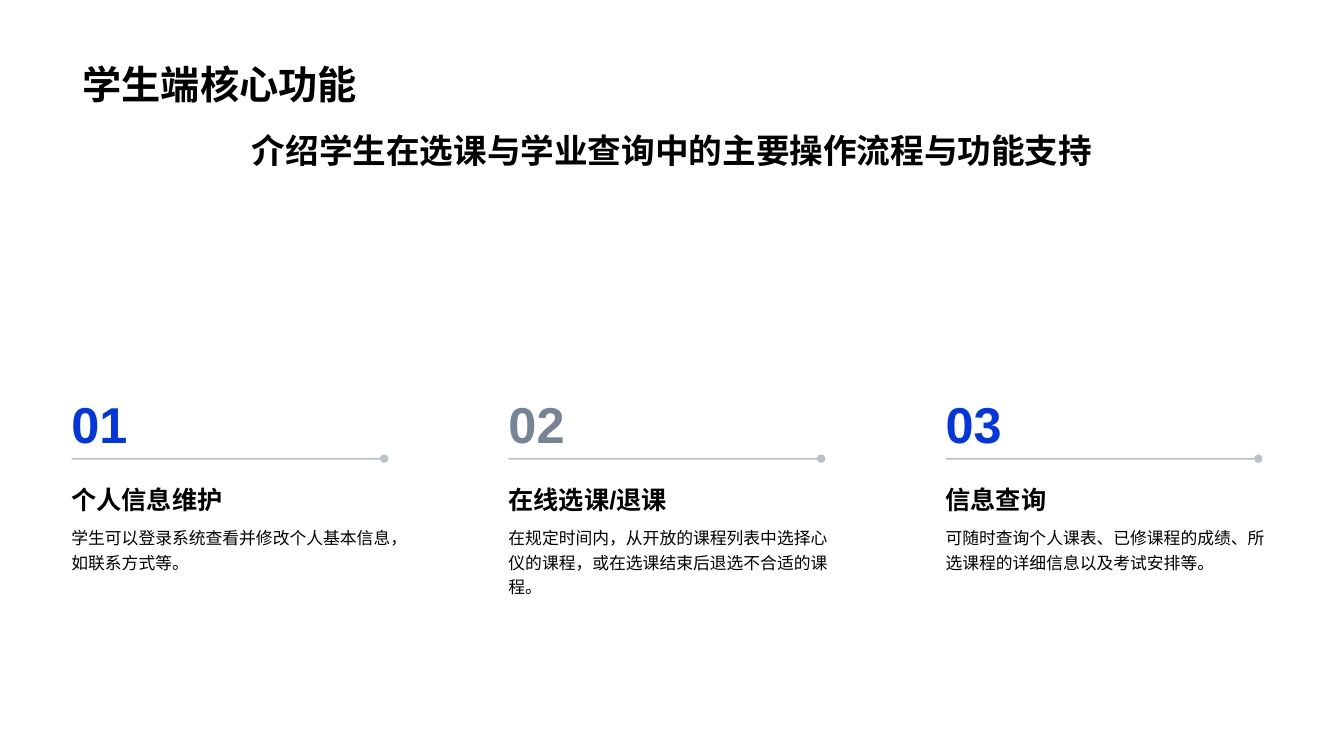
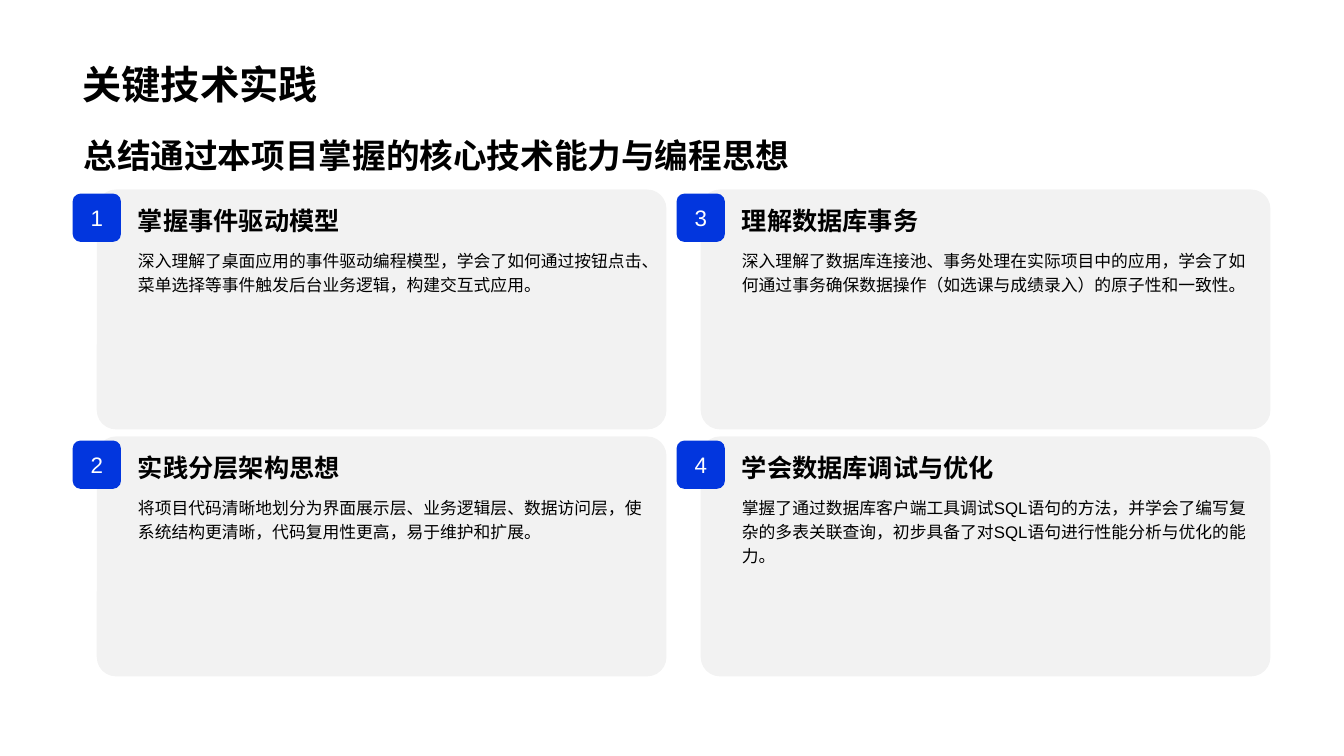
from dataclasses import dataclass
from typing import Any

import lxml.etree
import pptx
import pptx.dml.color
import pptx.enum.lang
import pptx.enum.shapes
import pptx.enum.text
import pptx.oxml.ns
import pptx.util

Inches = pptx.util.Inches
Align = pptx.enum.text.PP_ALIGN
Anchor = pptx.enum.text.MSO_ANCHOR
ShapeType = pptx.enum.shapes.MSO_SHAPE


@dataclass(frozen=True)
class Theme:
    font: str = "Arial"
    black: str = "000000"
    white: str = "FFFFFF"
    blue: str = "0236DE"
    gray: str = "778495"
    title_size: int = 28
    subtitle_size: int = 24
    heading_size: int = 18
    body_size: int = 12
    number_size: int = 36
    badge_size: int = 16
    line_width: float = 1.25
    line_opacity: int = 50
    card_opacity: int = 5
    body_spacing: float = 1.2


@dataclass(frozen=True)
class Box:
    left: float
    top: float
    width: float
    height: float

    def lengths(self) -> tuple[int, ...]:
        return tuple(Inches(value) for value in (self.left, self.top, self.width, self.height))


@dataclass(frozen=True)
class TextStyle:
    size: int
    color: str
    bold: bool = False
    anchor: Any = Anchor.TOP
    align: Any = Align.LEFT
    spacing: float = 1.0
    wrap: bool = True


@dataclass(frozen=True)
class Feature:
    number: str
    color: str
    heading: str
    description: str


@dataclass(frozen=True)
class Practice:
    heading: str
    description: str


THEME = Theme()
TITLE_BOX = Box(0.72, 0.14, 11.88, 0.98)
TITLE = TextStyle(THEME.title_size, THEME.black, True, Anchor.BOTTOM)
BODY = TextStyle(THEME.body_size, THEME.black, spacing=THEME.body_spacing)
FEATURE_HEADING = TextStyle(THEME.heading_size, THEME.black, True, Anchor.BOTTOM)
CARD_HEADING = TextStyle(
    THEME.heading_size, THEME.black, True, Anchor.MIDDLE, spacing=THEME.body_spacing
)
BADGE = TextStyle(THEME.badge_size, THEME.white, False, Anchor.MIDDLE, Align.CENTER, wrap=False)

FEATURES = (
    Feature("01", THEME.blue, "个人信息维护",
            "学生可以登录系统查看并修改个人基本信息，如联系方式等。"),
    Feature("02", THEME.gray, "在线选课/退课",
            "在规定时间内，从开放的课程列表中选择心仪的课程，或在选课结束后退选不合适的课程。"),
    Feature("03", THEME.blue, "信息查询",
            "可随时查询个人课表、已修课程的成绩、所选课程的详细信息以及考试安排等。"),
)
PRACTICES = (
    Practice("掌握事件驱动模型",
             "深入理解了桌面应用的事件驱动编程模型，学会了如何通过按钮点击、"
             "菜单选择等事件触发后台业务逻辑，构建交互式应用。"),
    Practice("实践分层架构思想",
             "将项目代码清晰地划分为界面展示层、业务逻辑层、数据访问层，"
             "使系统结构更清晰，代码复用性更高，易于维护和扩展。"),
    Practice("理解数据库事务",
             "深入理解了数据库连接池、事务处理在实际项目中的应用，"
             "学会了如何通过事务确保数据操作（如选课与成绩录入）的原子性和一致性。"),
    Practice("学会数据库调试与优化",
             "掌握了通过数据库客户端工具调试SQL语句的方法，并学会了编写复杂的多表关联查询，"
             "初步具备了对SQL语句进行性能分析与优化的能力。"),
)


def rgb(color: str) -> pptx.dml.color.RGBColor:
    return pptx.dml.color.RGBColor.from_string(color)


def add_element(parent: Any, tag: str, **attributes: str) -> Any:
    return lxml.etree.SubElement(parent, pptx.oxml.ns.qn(tag), **attributes)


def set_opacity(shape: Any, percent: int) -> None:
    color = next(shape._element.spPr.iter(pptx.oxml.ns.qn("a:srgbClr")))
    add_element(color, "a:alpha", val=str(percent * 1000))


def write_text(shape: Any, text: str, style: TextStyle) -> None:
    frame = shape.text_frame
    frame.text = text
    frame.auto_size = pptx.enum.text.MSO_AUTO_SIZE.NONE
    frame.word_wrap = style.wrap
    frame.vertical_anchor = style.anchor
    paragraph = frame.paragraphs[0]
    paragraph.alignment = style.align
    paragraph.line_spacing = style.spacing
    for run in paragraph.runs:
        font = run.font
        font.name = THEME.font
        font.size = pptx.util.Pt(style.size)
        font.bold = style.bold
        font.color.rgb = rgb(style.color)
        font.language_id = pptx.enum.lang.MSO_LANGUAGE_ID.SIMPLIFIED_CHINESE
        add_element(run._r.get_or_add_rPr(), "a:ea", typeface=THEME.font)


def add_text(slide: Any, box: Box, text: str, style: TextStyle) -> None:
    write_text(slide.shapes.add_textbox(*box.lengths()), text, style)


def add_rounded(slide: Any, box: Box, color: str) -> Any:
    shape = slide.shapes.add_shape(ShapeType.ROUNDED_RECTANGLE, *box.lengths())
    shape.shadow.inherit = False
    shape.fill.solid()
    shape.fill.fore_color.rgb = rgb(color)
    shape.line.fill.background()
    return shape


def add_dotted_rule(slide: Any, left: float, top: float, width: float) -> None:
    connector = slide.shapes.add_connector(
        pptx.enum.shapes.MSO_CONNECTOR.STRAIGHT,
        Inches(left), Inches(top), Inches(left + width), Inches(top),
    )
    connector.line.color.rgb = rgb(THEME.gray)
    connector.line.width = pptx.util.Pt(THEME.line_width)
    set_opacity(connector, THEME.line_opacity)
    add_element(connector.line._get_or_add_ln(), "a:tailEnd", type="oval")
    add_element(connector._element.spPr, "a:effectLst")


def add_titled_slide(
    presentation: Any, title: str, subtitle: str, subtitle_box: Box, anchor: Any, align: Any
) -> Any:
    slide = presentation.slides.add_slide(presentation.slide_layouts.get_by_name("Title Only"))
    shape = slide.shapes.title
    shape.left, shape.top, shape.width, shape.height = TITLE_BOX.lengths()
    write_text(shape, title, TITLE)
    style = TextStyle(THEME.subtitle_size, THEME.black, True, anchor, align)
    add_text(slide, subtitle_box, subtitle, style)
    return slide


def add_feature(slide: Any, feature: Feature, left: float) -> None:
    width = 3.44
    number = TextStyle(THEME.number_size, feature.color, True, Anchor.BOTTOM)
    add_dotted_rule(slide, left + 0.1, 4.55, 3.1)
    add_text(slide, Box(left, 3.84, 0.79, 0.71), feature.number, number)
    add_text(slide, Box(left, 4.63, width, 0.52), feature.heading, FEATURE_HEADING)
    add_text(slide, Box(left, 5.15, width, 1.1), feature.description, BODY)


def add_practice(slide: Any, practice: Practice, number: int, left: float, top: float) -> None:
    badge_size = 0.48
    text_left = left + 0.55
    text_width = 5.28
    card = add_rounded(slide, Box(left + badge_size / 2, top, 5.65, 2.38), THEME.black)
    card.adjustments[0] = 0.08
    set_opacity(card, THEME.card_opacity)
    badge = add_rounded(slide, Box(left, top + 0.04, badge_size, badge_size), THEME.blue)
    write_text(badge, str(number), BADGE)
    heading_box = Box(text_left, top + 0.04, text_width, badge_size)
    add_text(slide, heading_box, practice.heading, CARD_HEADING)
    add_text(slide, Box(text_left, top + 0.52, text_width, 1.74), practice.description, BODY)


def build_features(presentation: Any) -> None:
    slide = add_titled_slide(
        presentation, "学生端核心功能", "介绍学生在选课与学业查询中的主要操作流程与功能支持",
        Box(2.22, 1.24, 8.89, 0.64), Anchor.TOP, Align.CENTER,
    )
    first_left, last_left = 0.61, 9.28
    step = (last_left - first_left) / (len(FEATURES) - 1)
    for index, feature in enumerate(FEATURES):
        add_feature(slide, feature, first_left + index * step)


def build_practices(presentation: Any) -> None:
    slide = add_titled_slide(
        presentation, "关键技术实践", "总结通过本项目掌握的核心技术能力与编程思想",
        Box(0.73, 1.24, 11.88, 0.6), Anchor.MIDDLE, Align.LEFT,
    )
    rows = 2
    for index, practice in enumerate(PRACTICES):
        column, row = divmod(index, rows)
        add_practice(slide, practice, index + 1, 0.72 + column * 5.99, 1.88 + row * 2.45)


def main() -> None:
    presentation = pptx.Presentation()
    presentation.slide_width = Inches(13.33)
    presentation.slide_height = Inches(7.5)
    build_features(presentation)
    build_practices(presentation)
    presentation.save("out.pptx")


if __name__ == "__main__":
    main()
